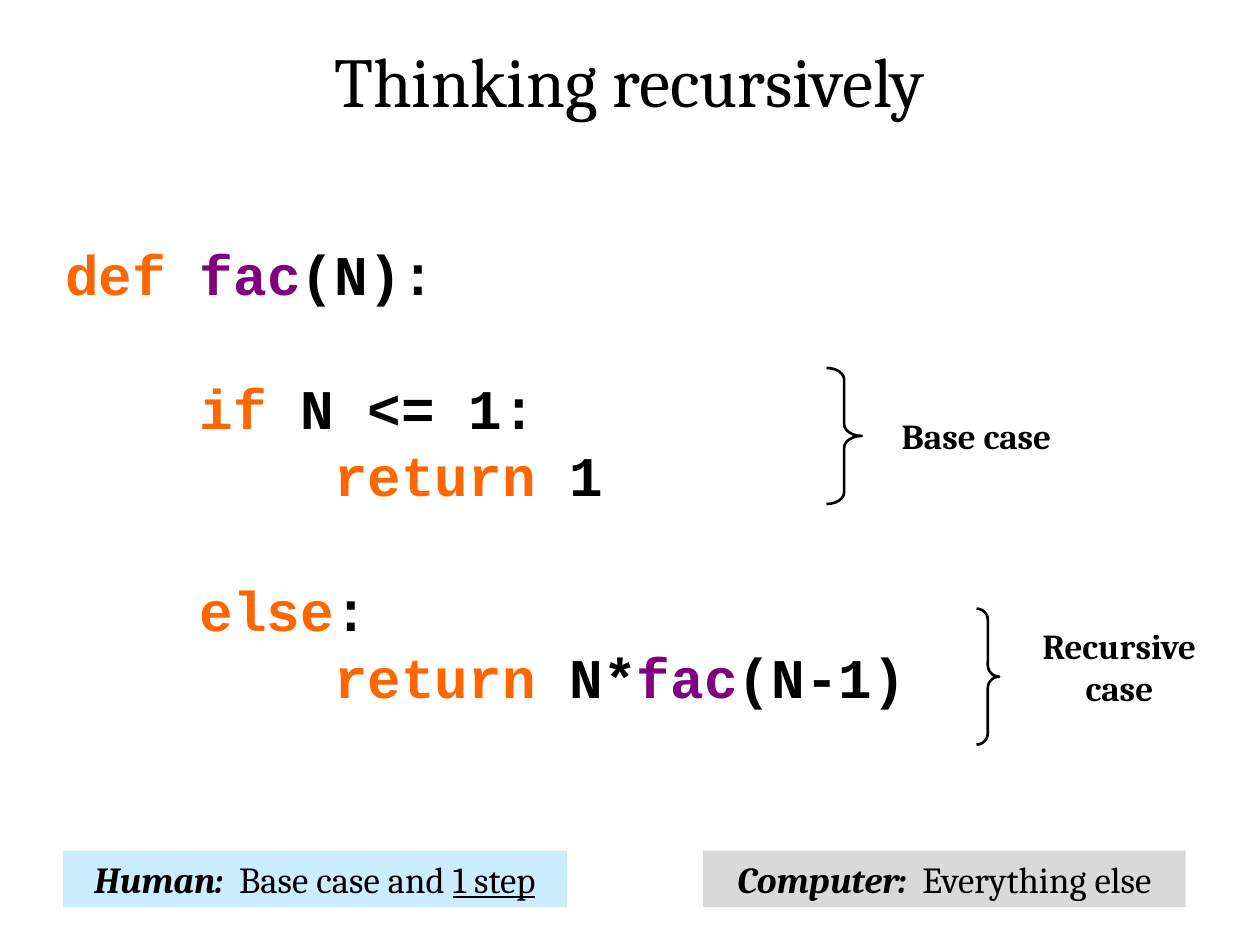
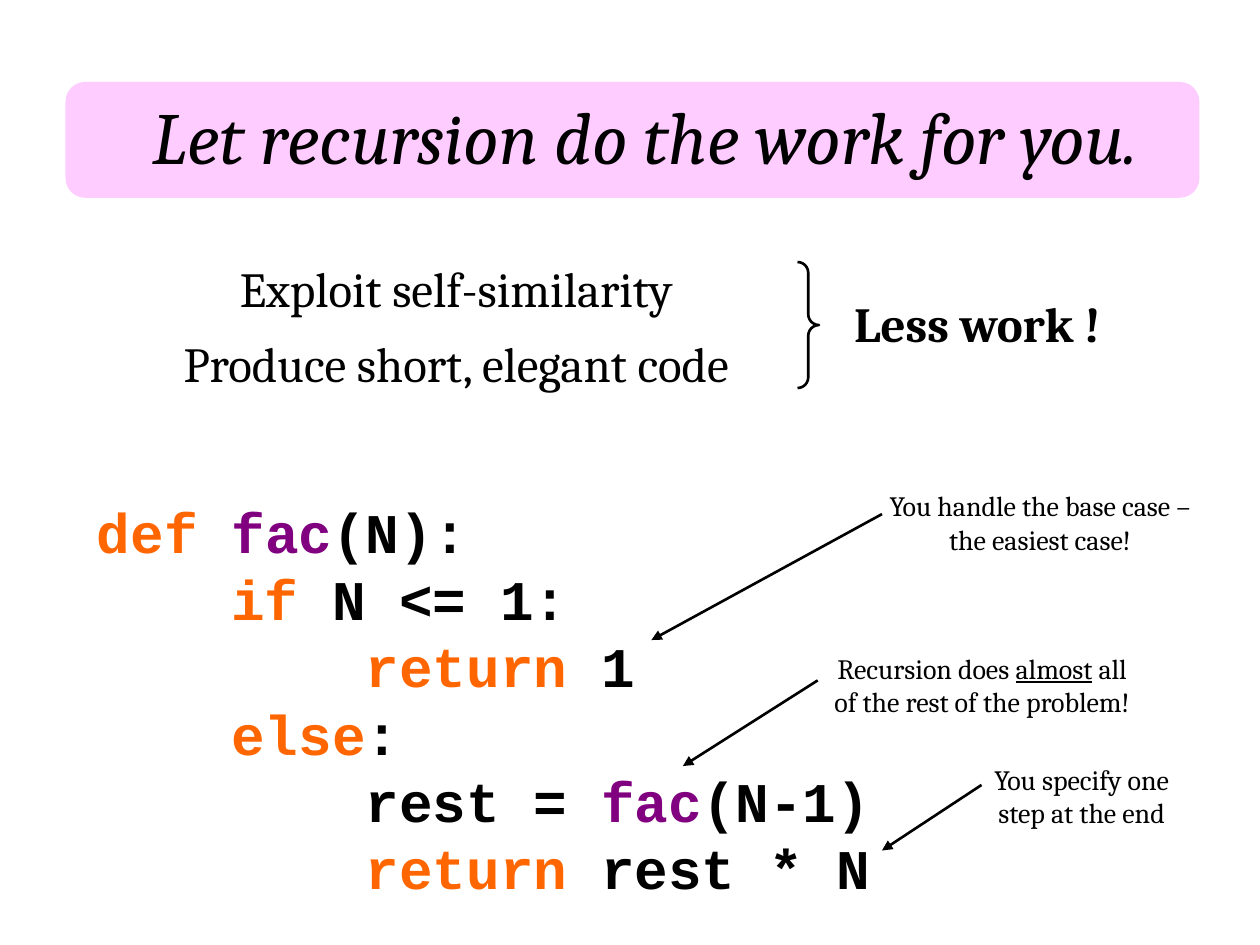
from pptx import Presentation
from pptx.dml.color import RGBColor
from pptx.enum.shapes import MSO_CONNECTOR as Connector, MSO_SHAPE as Preset
from pptx.enum.text import MSO_ANCHOR as Anchor, PP_ALIGN as Align
from pptx.oxml.ns import qn
from pptx.util import Pt
from lxml import etree

PX = 9144
COLOURS = {
    "ink": "000000", "keyword": "FF6600", "function": "800080",
    "human": "CCECFF", "computer": "D9D9D9", "banner": "FFCCFF",
}
CODE_SIZE = 32
CODE_LINE = 38.4
TAB = Pt(4 * 0.6 * CODE_SIZE)
PLAIN = {"bold": False, "italic": False}
STRONG = {"bold": True, "italic": True}
KEYWORD = {"colour": "keyword"}
FUNCTION = {"colour": "function"}


def add_shape(page, at, preset=None, fill=None, line=None, adjust=()):
    place = [value * PX for value in at]
    if preset is None:
        shape = page.shapes.add_textbox(*place)
    else:
        shape = page.shapes.add_shape(preset, *place)
        shape.shadow.inherit = False
        if fill:
            shape.fill.solid()
            shape.fill.fore_color.rgb = RGBColor.from_string(COLOURS[fill])
        else:
            shape.fill.background()
        if line:
            shape.line.color.rgb = RGBColor.from_string(COLOURS[line])
            shape.line.width = Pt(1.5)
        else:
            shape.line.fill.background()
        for index, value in enumerate(adjust):
            shape.adjustments[index] = value
    shape.text_frame.word_wrap = True
    shape.text_frame.vertical_anchor = Anchor.TOP
    return shape


def write(box, text, size, font="Cambria", align=Align.CENTER, indent=0,
          before=0, spacing=None, **look):
    frame = box.text_frame
    para = frame.paragraphs[0] if not frame.text else frame.add_paragraph()
    para.alignment = align
    para.space_before = Pt(before)
    if spacing:
        para.line_spacing = Pt(spacing)
    if indent:
        para._p.get_or_add_pPr().set("marL", str(indent * TAB))
        para._p.get_or_add_pPr().set("indent", "0")
    for words, change in [(text, {})] if isinstance(text, str) else text:
        style = {"colour": "ink", **look, **change}
        span = para.add_run()
        span.text = words
        span.font.name = font
        span.font.size = Pt(size)
        span.font.bold = style.get("bold", False)
        span.font.italic = style.get("italic", False)
        span.font.underline = style.get("underline", False)
        span.font.color.rgb = RGBColor.from_string(COLOURS[style["colour"]])


deck = Presentation()
deck.slide_width = 1000 * PX
deck.slide_height = 750 * PX
thinking, payoff = [deck.slides.add_slide(deck.slide_layouts[6]) for _ in range(2)]

head = [("def ", KEYWORD), ("fac", FUNCTION), ("(N):", {})]
test = [("if", KEYWORD), (" N <= 1:", {})]
base = [("return", KEYWORD), (" 1", {})]
other = [("else", KEYWORD), (":", {})]
step = [("return", KEYWORD), (" N*", {}), ("fac", FUNCTION), ("(N-1)", {})]
rest = [("rest = ", {}), ("fac", FUNCTION), ("(N-1)", {})]
result = [("return", KEYWORD), (" rest * N", {})]

listings = [
    (thinking, (42, 185, 800, 387),
     [(0, 0, head), (1, 1, test), (2, 0, base), (1, 1, other), (2, 0, step)]),
    (payoff, (67, 390, 842, 333),
     [(0, 0, head), (1, 0, test), (2, 0, base), (1, 0, other),
      (2, 0, rest), (2, 0, result)]),
]
for page, at, lines in listings:
    code = add_shape(page, at)
    for indent, gap, spans in lines:
        write(code, spans, CODE_SIZE, font="Courier New", align=Align.LEFT,
              indent=indent, before=gap * CODE_LINE, spacing=CODE_LINE, bold=True)

add_shape(payoff, (52, 65, 900, 92), Preset.ROUNDED_RECTANGLE, fill="banner",
          adjust=(0.17,))

braces = [
    (thinking, (775, 483, 18, 108), 0.5),
    (thinking, (656, 292, 28, 108), 0.33),
    (payoff, (633, 208, 17, 100), 0.5),
]
for page, at, curl in braces:
    add_shape(page, at, Preset.RIGHT_BRACE, line="ink", adjust=(curl, 0.5))

roles = [
    ((50, 675, 400, 45), "human",
     [("Human: ", STRONG), (" Base case and ", PLAIN), ("1 step", {"underline": True})]),
    ((558, 675, 383, 45), "computer",
     [("Computer:", STRONG), ("  Everything else", PLAIN)]),
]
for at, fill, spans in roles:
    write(add_shape(thinking, at, Preset.RECTANGLE, fill=fill), spans, 21)

almost = [("Recursion does ", {}), ("almost", {"underline": True}),
          (" all of the rest of the problem!", {})]
labels = [
    (thinking, (83, 25, 833, 77), "Thinking recursively", 40, {}),
    (thinking, (659, 324, 232, 43), "Base case", 20, {"bold": True}),
    (thinking, (810, 491, 157, 77), "Recursive case", 20, {"bold": True}),
    (payoff, (58, 67, 908, 80), "Let recursion do the work for you.", 42, {"italic": True}),
    (payoff, (58, 200, 608, 57), "Exploit self-similarity", 28, {}),
    (payoff, (58, 260, 608, 57), "Produce short, elegant code", 28, {}),
    (payoff, (668, 228, 225, 57), "Less work !", 28, {"bold": True, "align": Align.LEFT}),
    (payoff, (692, 383, 267, 64), "You handle the base case – the easiest case!", 16, {}),
    (payoff, (646, 512, 267, 64), almost, 16, {}),
    (payoff, (767, 600, 183, 64), "You specify one step at the end", 16, {}),
]
for page, at, text, size, look in labels:
    write(add_shape(page, at), text, size, **look)

for ends in [(700, 408, 517, 508), (649, 540, 542, 608), (779, 623, 700, 675)]:
    arrow = payoff.shapes.add_connector(Connector.STRAIGHT, *[value * PX for value in ends])
    arrow.line.color.rgb = RGBColor.from_string(COLOURS["ink"])
    arrow.line.width = Pt(1.5)
    etree.SubElement(arrow.line._get_or_add_ln(), qn("a:tailEnd"), type="triangle")
    etree.SubElement(arrow._element.spPr, qn("a:effectLst"))

deck.save("out.pptx")
